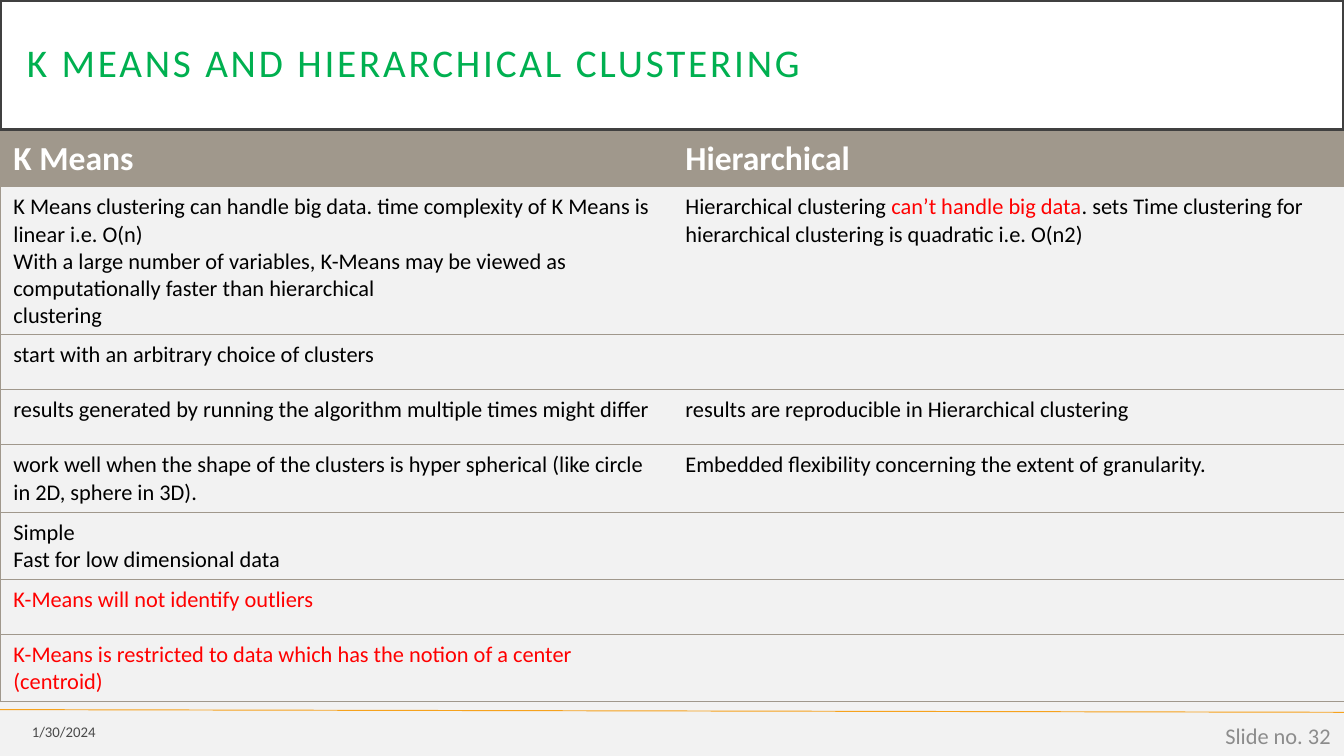
from lxml.etree import SubElement
from pptx import Presentation
from pptx.dml.color import RGBColor
from pptx.enum.shapes import MSO_CONNECTOR, MSO_SHAPE
from pptx.enum.text import MSO_ANCHOR, PP_ALIGN
from pptx.oxml.ns import qn
from pptx.util import Inches, Pt

PAPER = RGBColor(0xF2, 0xF2, 0xF2)
WHITE = RGBColor(0xFF, 0xFF, 0xFF)
BLACK = RGBColor(0x00, 0x00, 0x00)
RED = RGBColor(0xFF, 0x00, 0x00)
GREEN = RGBColor(0x00, 0xB0, 0x50)
CHARCOAL = RGBColor(0x40, 0x40, 0x40)
TAUPE = RGBColor(0xA0, 0x98, 0x8C)
ORANGE = RGBColor(0xF6, 0xA2, 0x1D)
DATE_GRAY = RGBColor(0x49, 0x49, 0x49)
NUMBER_GRAY = RGBColor(0x8C, 0x8C, 0x8C)

HEADER = {"size": Pt(18), "bold": True, "color": WHITE}
BODY = {"size": Pt(12), "bold": False, "color": BLACK}
WARNING = {**BODY, "color": RED}

HEADINGS = ["K Means", "Hierarchical"]
COMPARISON = [
    ([[("K Means clustering can handle big data. time complexity of K Means is linear i.e. O(n)", BODY)],
      [("With a large number of variables, K-Means may be viewed as "
        "computationally faster than hierarchical", BODY)],
      [("clustering", BODY)]],
     [[("Hierarchical clustering ", BODY), ("can’t handle big data", WARNING),
       (". sets Time clustering for hierarchical clustering is quadratic i.e. O(n2)", BODY)]]),
    ([[("start with an arbitrary choice of clusters", BODY)]], []),
    ([[("results generated by running the algorithm multiple times might differ", BODY)]],
     [[("results are reproducible in Hierarchical clustering", BODY)]]),
    ([[("work well when the shape of the clusters is hyper spherical "
        "(like circle in 2D, sphere in 3D).", BODY)]],
     [[("Embedded flexibility concerning the extent of granularity.", BODY)]]),
    ([[("Simple", BODY)], [("Fast for low dimensional data", BODY)]], []),
    ([[("K-Means will not identify outliers", WARNING)]], []),
    ([[("K-Means is restricted to data which has the notion of a center (centroid)", WARNING)]], []),
]


def add_run(paragraph, text, style):
    run = paragraph.add_run()
    run.text = text
    run.font.name = "Calibri"
    for attribute, value in style.items():
        if attribute == "color":
            run.font.color.rgb = value
        else:
            setattr(run.font, attribute, value)
    return run


def fill_text(frame, paragraphs):
    for index, runs in enumerate(paragraphs):
        paragraph = frame.add_paragraph() if index else frame.paragraphs[0]
        for text, style in runs:
            add_run(paragraph, text, style)


def set_borders(cell, drawn_sides):
    properties = cell._tc.get_or_add_tcPr()
    for position, side in enumerate("LRTB"):
        border = SubElement(properties, qn(f"a:ln{side}"), w=str(Pt(0.5)))
        properties.insert(position, border)
        if side in drawn_sides:
            solid = SubElement(border, qn("a:solidFill"))
            SubElement(solid, qn("a:srgbClr"), val=str(TAUPE))
        else:
            SubElement(border, qn("a:noFill"))


def add_title(slide, left, top, width, height):
    banner = slide.shapes.add_shape(MSO_SHAPE.RECTANGLE, left, top, width, height)
    banner.shadow.inherit = False
    banner.fill.solid()
    banner.fill.fore_color.rgb = WHITE
    banner.line.color.rgb = CHARCOAL
    banner.line.width = Pt(2.5)
    frame = banner.text_frame
    layout = {"word_wrap": True, "vertical_anchor": MSO_ANCHOR.MIDDLE}
    layout.update({f"margin_{side}": Inches(0.2) for side in ("left", "top", "right", "bottom")})
    for attribute, value in layout.items():
        setattr(frame, attribute, value)
    heading = frame.paragraphs[0]
    heading.alignment = PP_ALIGN.LEFT
    heading.line_spacing = 0.9
    run = add_run(heading, "K MEANS AND HIERARCHICAL CLUSTERING", {"size": Pt(21), "color": GREEN})
    run.font._element.set("spc", "150")


def add_comparison(slide, left, top, width, row_height):
    header = [[[(heading, HEADER)]] for heading in HEADINGS]
    rows = [header, *COMPARISON]
    table = slide.shapes.add_table(len(rows), len(HEADINGS), left, top, width,
                                   row_height * len(rows)).table
    table.horz_banding = False
    for column in table.columns:
        column.width = width // len(HEADINGS)
    for row_index, row in enumerate(rows):
        table.rows[row_index].height = row_height
        for column_index, paragraphs in enumerate(row):
            cell = table.cell(row_index, column_index)
            if row_index:
                cell.fill.background()
            else:
                cell.fill.solid()
                cell.fill.fore_color.rgb = TAUPE
            set_borders(cell, "TB" + "LR"[column_index])
            fill_text(cell.text_frame, paragraphs)


def add_footer_text(slide, box, text, style):
    frame = slide.shapes.add_textbox(*box).text_frame
    frame.word_wrap = True
    frame.vertical_anchor = MSO_ANCHOR.MIDDLE
    frame.paragraphs[0].alignment = PP_ALIGN.RIGHT
    add_run(frame.paragraphs[0], text, style)


def add_footer(slide, left, top, width):
    rule = slide.shapes.add_connector(MSO_CONNECTOR.STRAIGHT, left, top,
                                      left + width, top + Inches(0.02))
    rule.line.color.rgb = ORANGE
    rule.line.width = Pt(0.5)
    SubElement(rule._element.spPr, qn("a:effectLst"))
    date_box = (left, top + Inches(0.03), Inches(0.81), Inches(0.27))
    add_footer_text(slide, date_box, "1/30/2024", {"size": Pt(7.9), "color": DATE_GRAY})
    number_width = Inches(2.25)
    number_box = (left + width - number_width, top + Inches(0.04), number_width, Inches(0.3))
    add_footer_text(slide, number_box, "Slide no. 32", {"size": Pt(12), "color": NUMBER_GRAY})


def main():
    deck = Presentation()
    deck.slide_width = Inches(10)
    deck.slide_height = deck.slide_width * 9 // 16
    slide = deck.slides.add_slide(deck.slide_layouts[6])
    slide.background.fill.solid()
    slide.background.fill.fore_color.rgb = PAPER
    add_footer(slide, 0, Inches(5.28), deck.slide_width)
    add_title(slide, 0, 0, deck.slide_width, Inches(0.97))
    add_comparison(slide, 0, Inches(0.98), deck.slide_width, Inches(0.41))
    deck.save("out.pptx")


if __name__ == "__main__":
    main()
